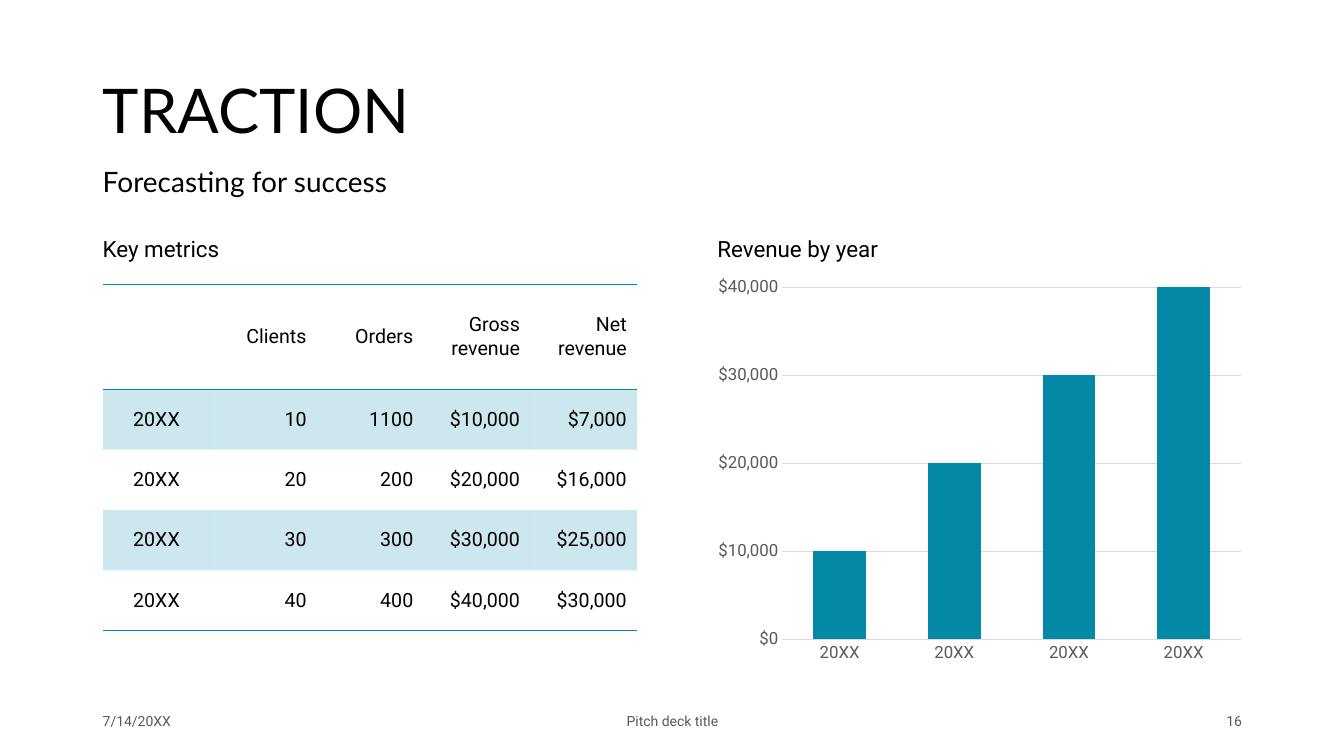
from lxml import etree
from pptx import Presentation
from pptx.chart.data import CategoryChartData
from pptx.dml.color import RGBColor
from pptx.enum.chart import XL_CHART_TYPE, XL_TICK_MARK
from pptx.enum.text import MSO_ANCHOR, MSO_AUTO_SIZE, PP_ALIGN
from pptx.oxml.ns import qn
from pptx.util import Cm, Pt

COLUMN = XL_CHART_TYPE.COLUMN_CLUSTERED
NO_TICKS = XL_TICK_MARK.NONE
TOP, MIDDLE, BOTTOM = MSO_ANCHOR.TOP, MSO_ANCHOR.MIDDLE, MSO_ANCHOR.BOTTOM
NO_AUTOFIT = MSO_AUTO_SIZE.NONE
LEFT, CENTER, RIGHT = PP_ALIGN.LEFT, PP_ALIGN.CENTER, PP_ALIGN.RIGHT

COLORS = {"text": "000000", "muted": "595959", "accent": "0388A6", "grid": "D9D9D9"}
HEADING_FONT, BODY_FONT = "Lato", "Roboto"
PLAIN_TABLE_STYLE = "{2D5ABB26-0587-4C30-8999-92F81FD0307C}"
LEFT_MARGIN, RIGHT_COLUMN = 2.34, 17.83
FOOTER_TOP, FOOTER_HEIGHT = 17.65, 1.02

METRICS = [
    ["", "Clients", "Orders", "Gross revenue", "Net revenue"],
    ["20XX", "10", "1100", "$10,000", "$7,000"],
    ["20XX", "20", "200", "$20,000", "$16,000"],
    ["20XX", "30", "300", "$30,000", "$25,000"],
    ["20XX", "40", "400", "$40,000", "$30,000"],
]
REVENUE = [10000, 20000, 30000, 40000]


def color(name):
    return RGBColor.from_string(COLORS[name])


class SlideBuilder:
    def __init__(self, presentation):
        self.slide = presentation.slides.add_slide(presentation.slide_layouts[5])

    def style_font(self, font, size, name=BODY_FONT, shade="text"):
        for key, value in {"name": name, "size": Pt(size), "bold": False}.items():
            setattr(font, key, value)
        font.color.rgb = color(shade)

    def fill_text(self, shape, text, size, font=BODY_FONT, shade="text",
                  anchor=MIDDLE, align=LEFT, spacing=0.9):
        frame = shape.text_frame
        frame.text = text
        frame_format = {"word_wrap": True, "auto_size": NO_AUTOFIT, "vertical_anchor": anchor}
        for key, value in frame_format.items():
            setattr(frame, key, value)
        paragraph = frame.paragraphs[0]
        for key, value in {"alignment": align, "line_spacing": spacing}.items():
            setattr(paragraph, key, value)
        self.style_font(paragraph.font, size, font, shade)

    def title(self, text, left, top, width, height):
        shape = self.slide.shapes.title
        box = {"left": left, "top": top, "width": width, "height": height}
        for key, value in box.items():
            setattr(shape, key, Cm(value))
        self.fill_text(shape, text, 44, HEADING_FONT)

    def text(self, text, left, top, width, height, size, **style):
        shape = self.slide.shapes.add_textbox(Cm(left), Cm(top), Cm(width), Cm(height))
        self.fill_text(shape, text, size, **style)

    def border(self, cell, side):
        line = etree.SubElement(cell._tc.get_or_add_tcPr(), qn(f"a:{side}"), w=str(Pt(1)))
        fill = etree.SubElement(line, qn("a:solidFill"))
        etree.SubElement(fill, qn("a:srgbClr"), val=COLORS["accent"])

    def tint(self, cell):
        cell.fill.solid()
        cell.fill.fore_color.rgb = color("accent")
        solid = cell._tc.tcPr.find(qn("a:solidFill"))
        etree.SubElement(solid[0], qn("a:alpha"), val="20000")

    def table(self, rows, left, top, width, header_height, row_height):
        height = header_height + row_height * (len(rows) - 1)
        frame = self.slide.shapes.add_table(
            len(rows), len(rows[0]), Cm(left), Cm(top), Cm(width), Cm(height))
        table = frame.table
        table.first_row = table.horz_banding = False
        table._tbl.tblPr.find(qn("a:tableStyleId")).text = PLAIN_TABLE_STYLE
        for row_index, values in enumerate(rows):
            is_header = row_index == 0
            table.rows[row_index].height = Cm(header_height if is_header else row_height)
            for column_index, value in enumerate(values):
                cell = table.cell(row_index, column_index)
                cell.text = value
                cell.vertical_anchor = MIDDLE
                paragraph = cell.text_frame.paragraphs[0]
                paragraph.alignment = RIGHT if column_index else CENTER
                self.style_font(paragraph.font, 14)
                if is_header:
                    self.border(cell, "lnT")
                if is_header or row_index == len(rows) - 1:
                    self.border(cell, "lnB")
                if row_index % 2:
                    self.tint(cell)
                else:
                    cell.fill.background()

    def style_line(self, line):
        line.color.rgb = color("grid")
        line.width = Pt(0.75)

    def column_chart(self, values, left, top, width, height):
        data = CategoryChartData()
        data.categories = ["20XX"] * len(values)
        data.add_series("Series 1", values)
        chart = self.slide.shapes.add_chart(
            COLUMN, Cm(left), Cm(top), Cm(width), Cm(height), data).chart
        chart.has_legend = chart.has_title = False
        self.style_font(chart.font, 10)
        plot = chart.plots[0]
        for key, value in {"gap_width": 118, "overlap": -3, "vary_by_categories": False}.items():
            setattr(plot, key, value)
        bars = plot.series[0].format.fill
        bars.solid()
        bars.fore_color.rgb = color("accent")
        for axis in (chart.category_axis, chart.value_axis):
            axis.major_tick_mark = axis.minor_tick_mark = NO_TICKS
            self.style_font(axis.tick_labels.font, 12, shade="muted")
        self.style_line(chart.category_axis.format.line)
        value_axis = chart.value_axis
        scale = {"minimum_scale": 0, "maximum_scale": 40000, "major_unit": 10000}
        for key, value in scale.items():
            setattr(value_axis, key, value)
        value_axis.format.line.fill.background()
        self.style_line(value_axis.major_gridlines.format.line)
        value_axis.tick_labels.number_format = "[$$-409]#,##0"
        value_axis.tick_labels.number_format_is_linked = False


def main():
    presentation = Presentation()
    presentation.slide_width, presentation.slide_height = Cm(33.87), Cm(19.05)
    builder = SlideBuilder(presentation)
    builder.title("TRACTION", LEFT_MARGIN, 1.02, 29.21, 3.68)
    builder.text("Forecasting for success", LEFT_MARGIN, 4.11, 23.11, 1.02, 20,
                 font=HEADING_FONT, anchor=TOP)
    for heading, left in (("Key metrics", LEFT_MARGIN), ("Revenue by year", RIGHT_COLUMN)):
        builder.text(heading, left, 4.7, 14.35, 2.03, 16, anchor=BOTTOM)
    builder.table(METRICS, 2.6, 7.16, 13.45, 2.65, 1.52)
    builder.column_chart(REVENUE, RIGHT_COLUMN, 6.78, 13.72, 10.13)
    footer = [
        ("7/14/20XX", LEFT_MARGIN, 7.62, LEFT),
        ("Pitch deck title", 11.23, 11.43, CENTER),
        ("16", 23.93, 7.62, RIGHT),
    ]
    for text, left, width, align in footer:
        builder.text(text, left, FOOTER_TOP, width, FOOTER_HEIGHT, 10,
                     shade="muted", align=align, spacing=1.0)
    presentation.save("out.pptx")


if __name__ == "__main__":
    main()
